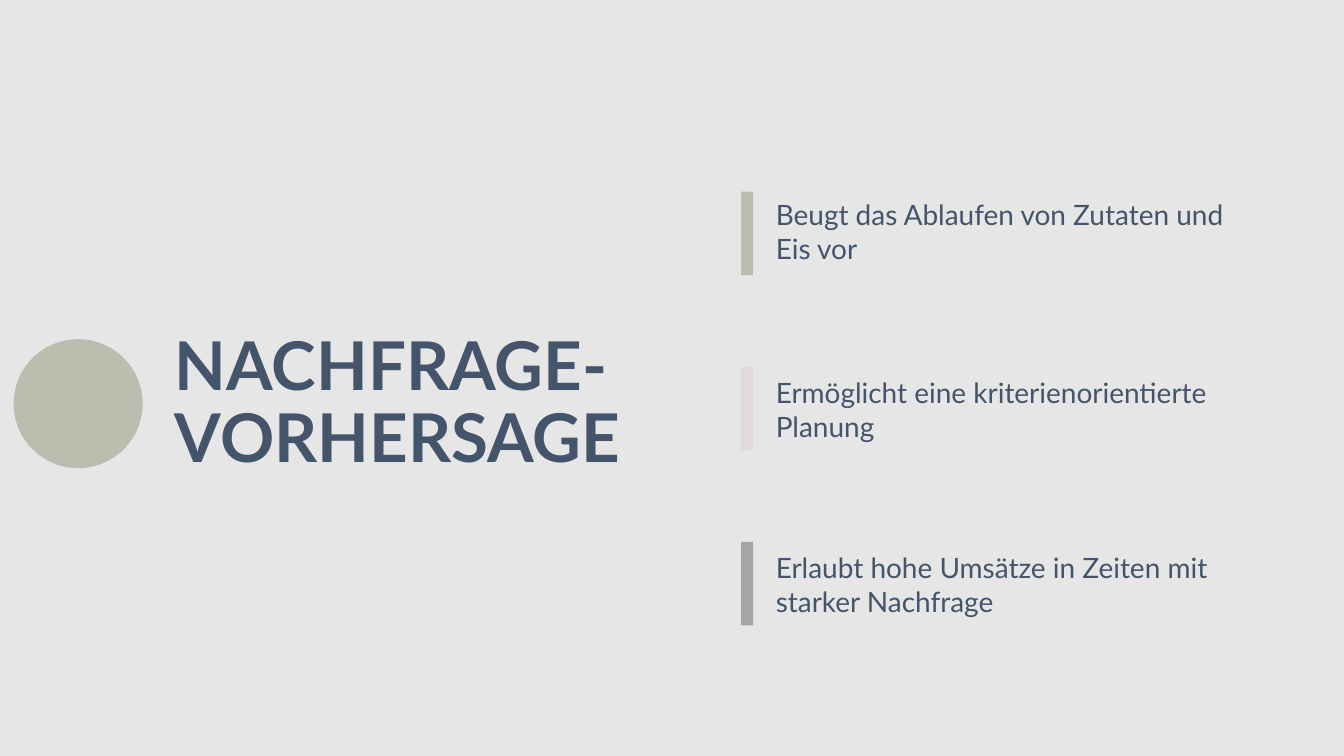
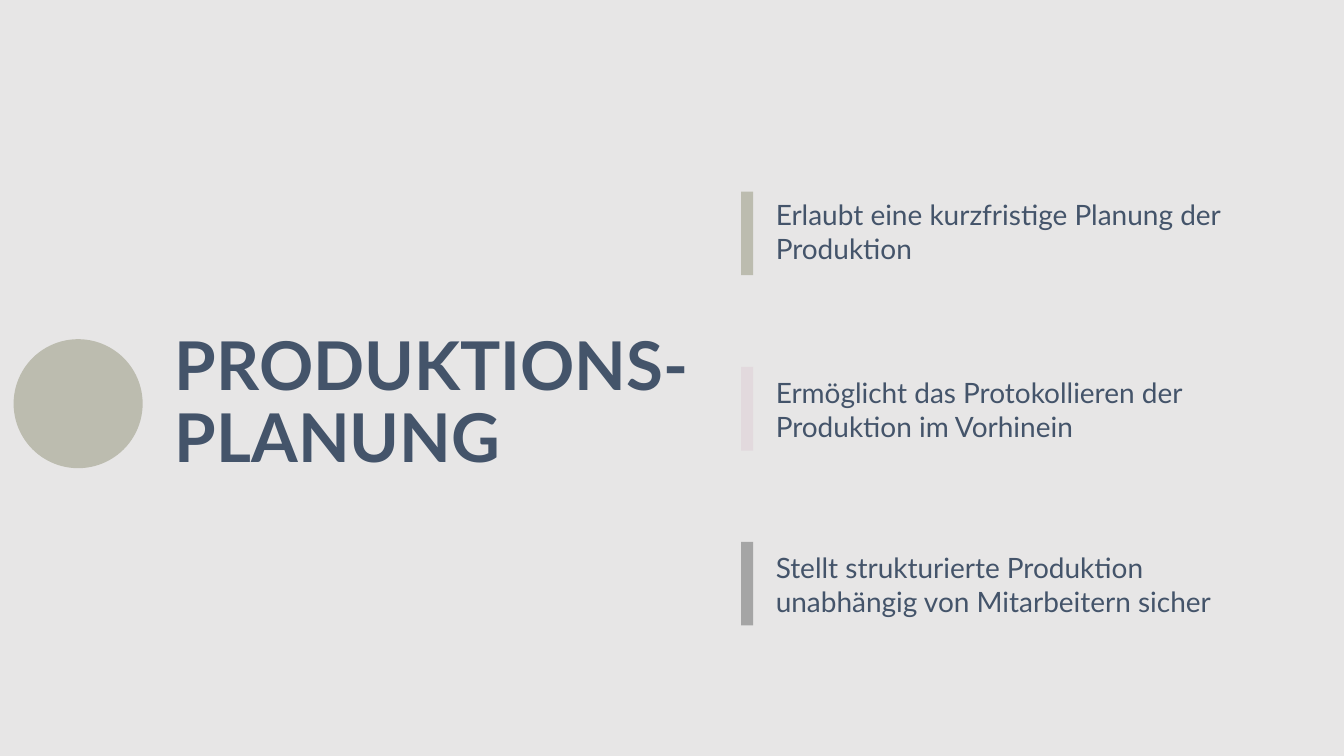
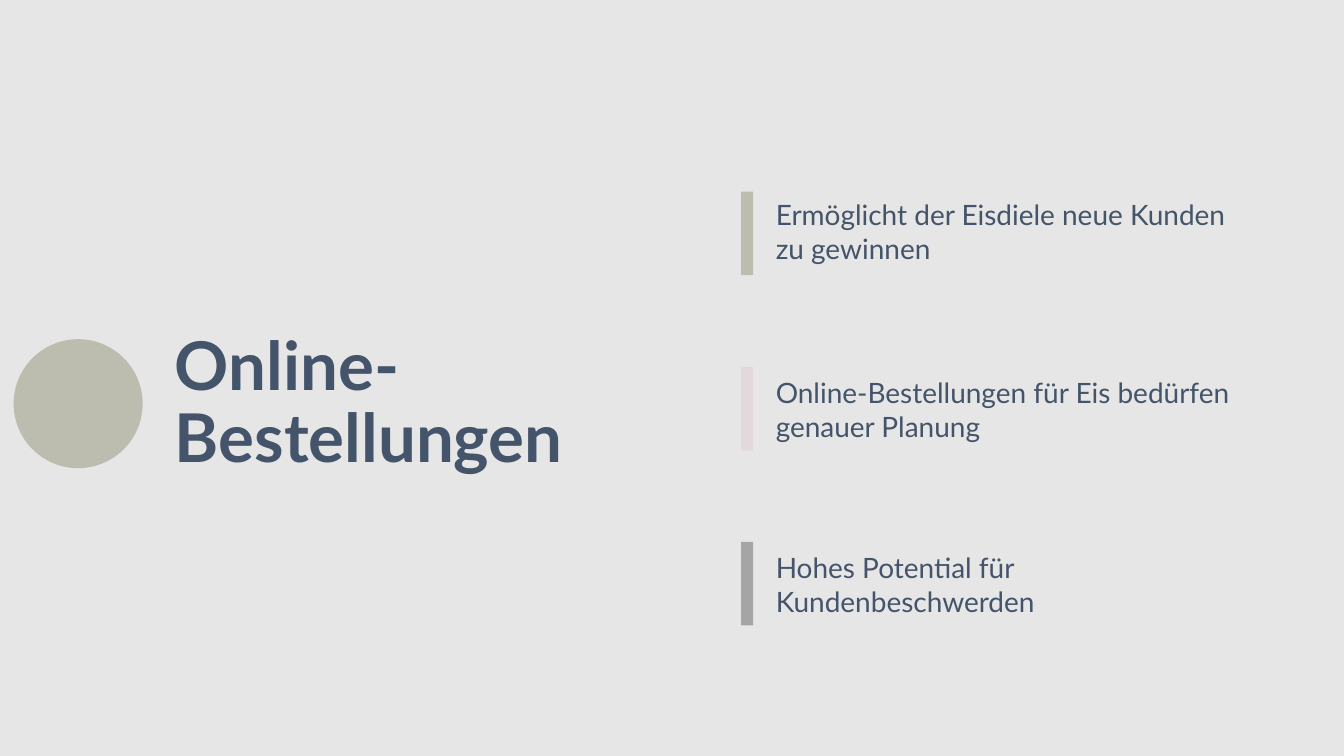
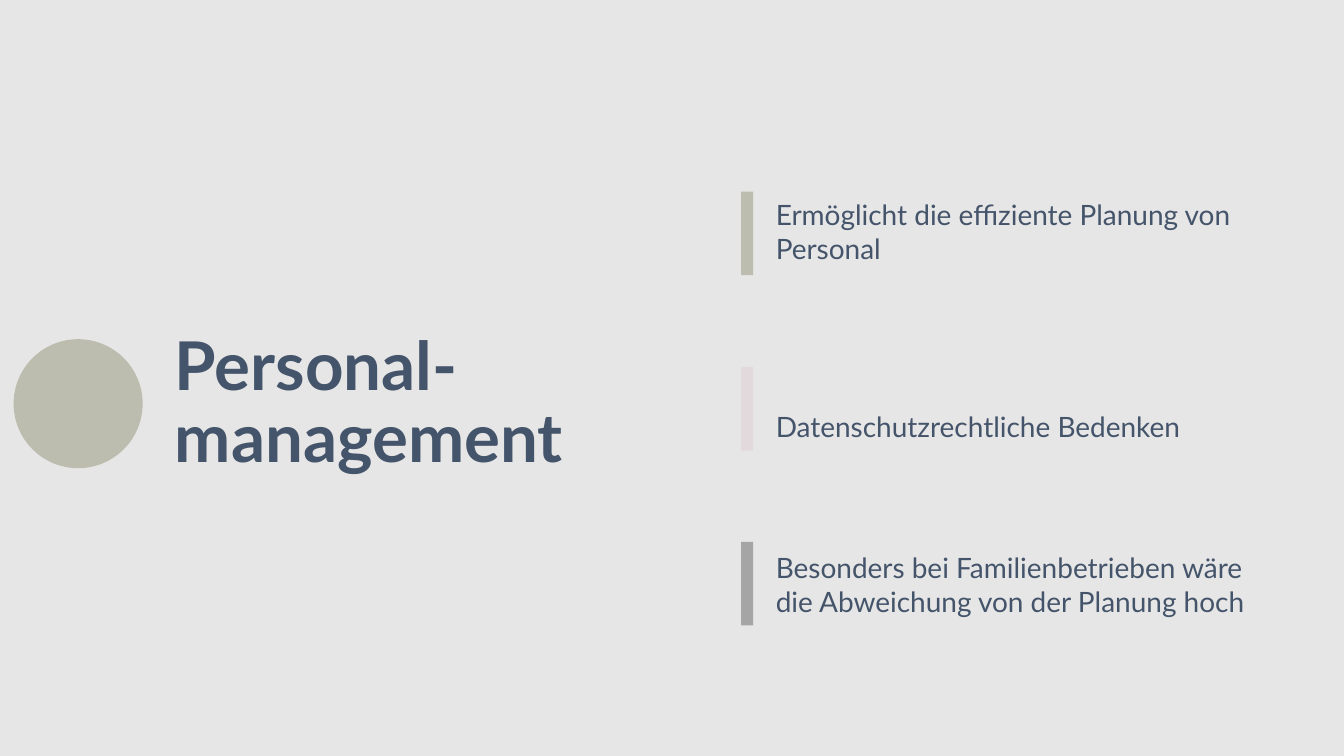
from collections import namedtuple

from pptx import Presentation
from pptx.dml.color import RGBColor
from pptx.enum.shapes import MSO_SHAPE
from pptx.enum.text import MSO_ANCHOR, MSO_AUTO_SIZE, PP_ALIGN
from pptx.util import Emu, Pt

EMU_PER_PX = 9144
BACKGROUND = RGBColor(0xE7, 0xE6, 0xE6)
SLATE = RGBColor(0x44, 0x54, 0x6A)
SAGE = RGBColor(0xBC, 0xBC, 0xAF)
ROSE = RGBColor(0xE2, 0xD9, 0xDD)
GRAY = RGBColor(0xA5, 0xA5, 0xA5)

TITLE_FONT = {"name": "Lato", "size": Pt(96), "bold": True}
POINT_FONT = {"name": "Lato", "size": Pt(40)}
TITLE_PARAGRAPH = {"line_spacing": 0.9, "alignment": PP_ALIGN.LEFT}
POINT_PARAGRAPH = {"alignment": PP_ALIGN.LEFT}
FRAME = {
    "word_wrap": True,
    "vertical_anchor": MSO_ANCHOR.BOTTOM,
    "auto_size": MSO_AUTO_SIZE.SHAPE_TO_FIT_TEXT,
}

Row = namedtuple("Row", "color bar_top text_bottom")
ROWS = [Row(SAGE, 380, 531), Row(ROSE, 728, 884), Row(GRAY, 1075, 1231)]

Point = namedtuple("Point", "text height width", defaults=(145, 960))
TOPICS = {
    "NACHFRAGE-VORHERSAGE": [
        Point("Beugt das Ablaufen von Zutaten und Eis vor"),
        Point("Ermöglicht eine kriterienorientierte Planung"),
        Point("Erlaubt hohe Umsätze in Zeiten mit starker Nachfrage"),
    ],
    "PRODUKTIONS-PLANUNG": [
        Point("Erlaubt eine kurzfristige Planung der Produktion"),
        Point("Ermöglicht das Protokollieren der Produktion im Vorhinein"),
        Point("Stellt strukturierte Produktion unabhängig von Mitarbeitern sicher"),
    ],
    "Online-Bestellungen": [
        Point("Ermöglicht der Eisdiele neue Kunden zu gewinnen"),
        Point("Online-Bestellungen für Eis bedürfen genauer Planung"),
        Point("Hohes Potential für Kundenbeschwerden"),
    ],
    "Personal-management": [
        Point("Ermöglicht die effiziente Planung von Personal"),
        Point("Datenschutzrechtliche Bedenken", height=77),
        Point("Besonders bei Familienbetrieben wäre die Abweichung von der Planung hoch",
              width=1025),
    ],
}


def px(*lengths):
    return [Emu(length * EMU_PER_PX) for length in lengths]


def apply(target, values):
    for name, value in values.items():
        setattr(target, name, value)


def write(box, text, paragraph_format, font_format):
    frame = box.text_frame
    frame.text = text
    apply(frame, FRAME)
    para = frame.paragraphs[0]
    apply(para, paragraph_format)
    font = para.runs[0].font
    apply(font, font_format)
    font.color.rgb = SLATE


def add_title(page, text):
    title = page.shapes.title
    title.left, title.top, title.width, title.height = px(337, 651, 1080, 301)
    write(title, text, TITLE_PARAGRAPH, TITLE_FONT)


def add_filled_shape(page, kind, color, *place):
    shape = page.shapes.add_shape(kind, *px(*place))
    shape.shadow.inherit = False
    shape.fill.solid()
    shape.fill.fore_color.rgb = color
    shape.line.fill.background()


def add_point(page, row, point):
    add_filled_shape(page, MSO_SHAPE.RECTANGLE, row.color, 1470, row.bar_top, 24, 166)
    top = row.text_bottom - point.height
    box = page.shapes.add_textbox(*px(1529, top, point.width, point.height))
    write(box, point.text, POINT_PARAGRAPH, POINT_FONT)


def add_topic(deck, title, points):
    page = deck.slides.add_slide(deck.slide_layouts.get_by_name("Title Only"))
    add_title(page, title)
    add_filled_shape(page, MSO_SHAPE.OVAL, SAGE, 27, 673, 256, 256)
    for row, point in zip(ROWS, points):
        add_point(page, row, point)


def main():
    deck = Presentation()
    deck.slide_width, deck.slide_height = px(2666, 1500)
    background = deck.slide_master.background.fill
    background.solid()
    background.fore_color.rgb = BACKGROUND
    for title, points in TOPICS.items():
        add_topic(deck, title, points)
    deck.save("out.pptx")


if __name__ == "__main__":
    main()
